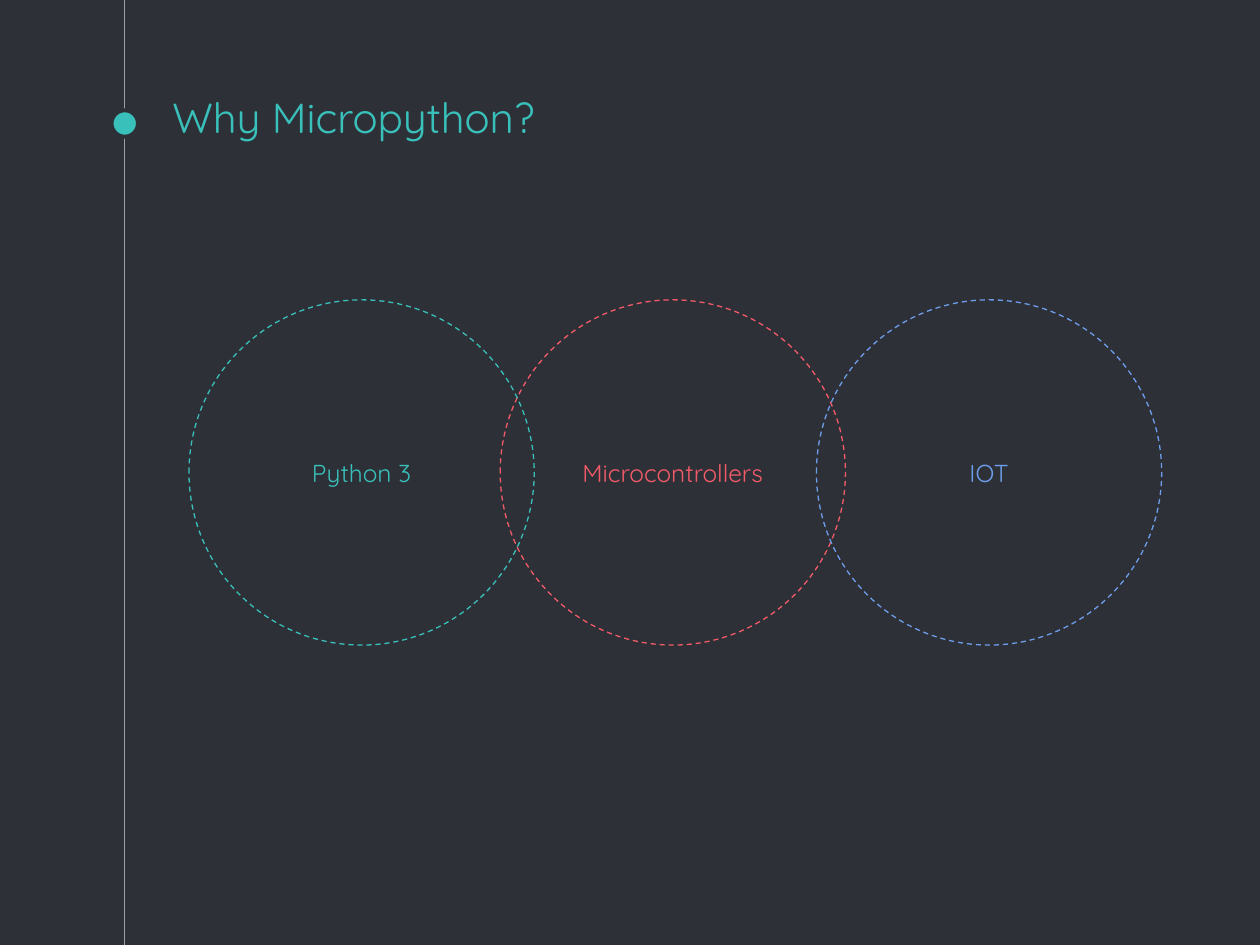
from dataclasses import dataclass
from lxml.etree import SubElement
from pptx import Presentation
from pptx.dml.color import RGBColor
from pptx.enum.dml import MSO_LINE
from pptx.enum.shapes import MSO_CONNECTOR, MSO_SHAPE
from pptx.enum.text import MSO_ANCHOR, PP_ALIGN
from pptx.oxml.ns import qn
from pptx.util import Inches, Pt


@dataclass(frozen=True)
class Theme:
    font: str = "Quicksand"
    back: str = "2E3037"
    rail: str = "999FA9"
    teal: str = "39C0BA"
    red: str = "F35B69"
    blue: str = "6D9EEB"
    head: int = 24
    body: int = 14
    thin: float = 0.75
    ring: float = 2.25


theme = Theme()
title = "Why Micropython?"
topics = [
    ("Microcontrollers", 3.97, theme.red),
    ("Python 3", 1.5, theme.teal),
    ("IOT", 6.48, theme.blue),
]
rail_x, dot_y, dot_size = 0.99, 0.98, 0.21
topic_top, topic_size = 2.38, 2.74


def color(code):
    return RGBColor.from_string(code)


def set_line(line, code, width):
    line.color.rgb = color(code)
    line.width = Pt(width)


def add_oval(left, top, size, code, width):
    oval = slide.shapes.add_shape(
        MSO_SHAPE.OVAL, Inches(left), Inches(top), Inches(size), Inches(size))
    oval.shadow.inherit = False
    set_line(oval.line, code, width)
    return oval


def write(shape, text, size, code, anchor, align):
    frame = shape.text_frame
    frame.word_wrap = True
    frame.vertical_anchor = anchor
    frame.margin_left = frame.margin_right = Inches(0.1)
    frame.margin_top = frame.margin_bottom = Inches(0.1)
    para = frame.paragraphs[0]
    para.alignment = align
    run = para.add_run()
    run.text = text
    run.font.name = theme.font
    run.font.size = Pt(size)
    run.font.color.rgb = color(code)


deck = Presentation()
deck.slide_width, deck.slide_height = Inches(10), Inches(7.5)
slide = deck.slides.add_slide(deck.slide_layouts[6])
slide.background.fill.solid()
slide.background.fill.fore_color.rgb = color(theme.back)

rail = slide.shapes.add_connector(
    MSO_CONNECTOR.STRAIGHT, Inches(rail_x), Inches(0), Inches(rail_x), Inches(7.5))
set_line(rail.line, theme.rail, theme.thin)
SubElement(rail.line._get_or_add_ln().getparent(), qn("a:effectLst"))

dot = add_oval(rail_x - dot_size / 2, dot_y - dot_size / 2, dot_size,
               theme.back, theme.ring)
dot.fill.solid()
dot.fill.fore_color.rgb = color(theme.teal)

head = slide.shapes.add_textbox(Inches(1.27), Inches(0.73), Inches(7.5), Inches(0.5))
write(head, title, theme.head, theme.teal, MSO_ANCHOR.BOTTOM, PP_ALIGN.LEFT)

for text, left, code in topics:
    oval = add_oval(left, topic_top, topic_size, code, theme.thin)
    oval.fill.background()
    oval.line.dash_style = MSO_LINE.DASH
    write(oval, text, theme.body, code, MSO_ANCHOR.MIDDLE, PP_ALIGN.CENTER)

deck.save("out.pptx")
